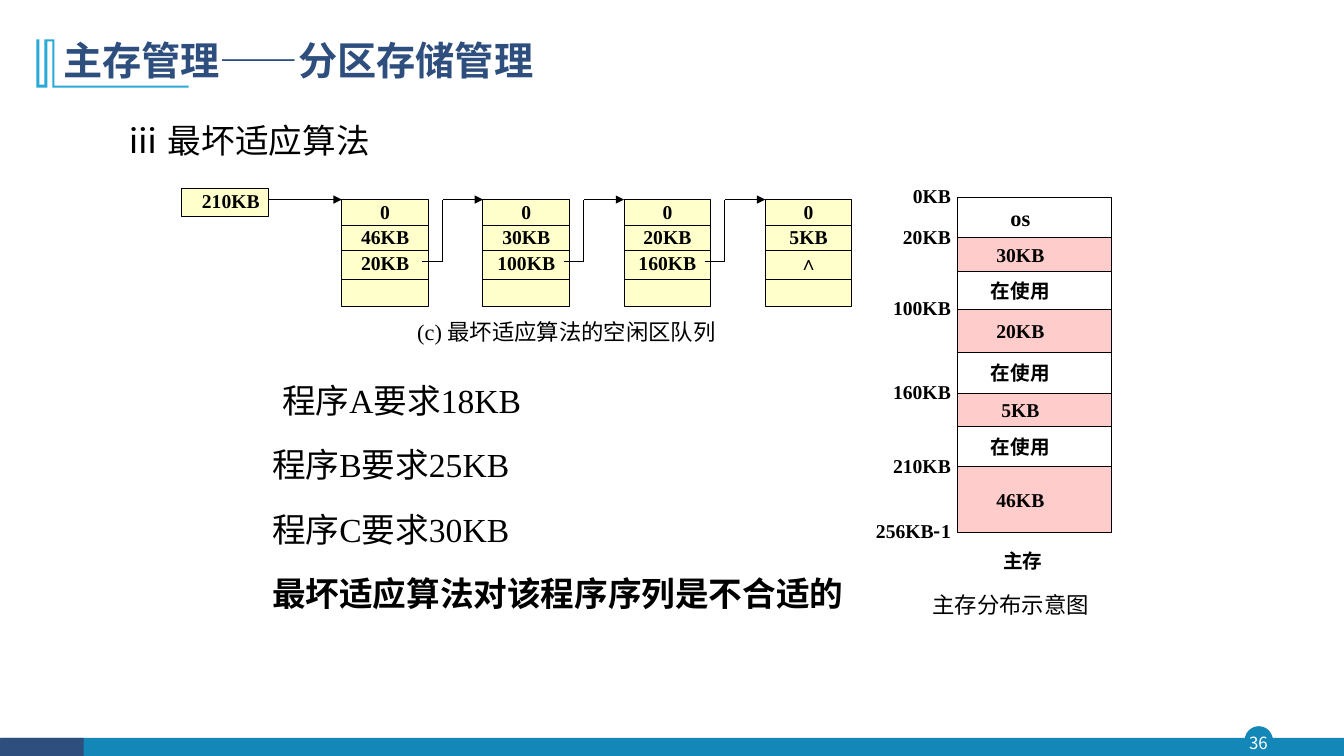
from lxml import etree
from pptx import Presentation
from pptx.dml.color import RGBColor
from pptx.enum.shapes import MSO_CONNECTOR, MSO_SHAPE
from pptx.enum.text import MSO_ANCHOR, PP_ALIGN
from pptx.oxml.ns import qn
from pptx.util import Inches, Pt

RECTANGLE, ELLIPSE = MSO_SHAPE.RECTANGLE, MSO_SHAPE.OVAL
LEFT, CENTER, RIGHT = PP_ALIGN.LEFT, PP_ALIGN.CENTER, PP_ALIGN.RIGHT
TOP, MIDDLE = MSO_ANCHOR.TOP, MSO_ANCHOR.MIDDLE

THEME = {
    "serif": "Times New Roman", "sans": "Noto Sans CJK SC", "symbol": "Arial",
    "title": 28, "body": 24, "caption": 16, "label": 14, "page": 12,
    "black": "000000", "white": "FFFFFF", "navy": "2E4E7E",
    "teal": "1387B7", "cyan": "28A9D6", "free": "FFCCCC", "queue": "FFFFCC",
}

# Content: a paragraph is a string or a list of (text, font) runs
TITLE = "主存管理——分区存储管理"
HEADING = [("ⅲ ", "sans"), ("最坏适应算法", "serif")]
REQUESTS = ["程序A要求18KB", "程序B要求25KB", "程序C要求30KB"]
CONCLUSION = "最坏适应算法对该程序序列是不合适的"
QUEUE_HEAD = "210KB"
QUEUE_NODES = [
    ["0", "46KB", "20KB"],
    ["0", "30KB", "100KB"],
    ["0", "20KB", "160KB"],
    ["0", "5KB", [("∧", "symbol")]],
]
QUEUE_CAPTION = "(c) 最坏适应算法的空闲区队列"
# Regions of memory: text, top edge, fill, type size
REGIONS = [
    ("os", 1.96, "white", "caption"),
    ("30KB", 2.36, "free", "label"),
    ("在使用", 2.69, "white", "label"),
    ("20KB", 3.07, "free", "label"),
    ("在使用", 3.5, "white", "label"),
    ("5KB", 3.9, "free", "label"),
    ("在使用", 4.23, "white", "label"),
    ("46KB", 4.63, "free", "label"),
]
MEMORY_BOTTOM = 5.28
ADDRESSES = [
    ("0KB", 1.96), ("20KB", 2.36), ("100KB", 3.07), ("160KB", 3.9), ("210KB", 4.63),
    ([("256KB", "serif"), ("-", "sans"), ("1", "serif")], MEMORY_BOTTOM),
]
MEMORY_NAME = "主存"
MEMORY_CAPTION = "主存分布示意图"
PAGE_NUMBER = "36"
ORNAMENT = [
    (0.54, 0.39), (0.54, 0.85), (1.87, 0.85), (1.87, 0.87), (0.52, 0.87), (0.52, 0.41),
    (0.47, 0.41), (0.47, 0.87), (0.36, 0.87), (0.36, 0.39), (0.39, 0.39), (0.39, 0.84),
    (0.44, 0.84), (0.44, 0.39),
]

presentation = Presentation()
presentation.slide_width = Inches(13.33)
presentation.slide_height = Inches(7.5)
slide = presentation.slides.add_slide(presentation.slide_layouts[6])


def color(name):
    return RGBColor.from_string(THEME[name])


def write(shape, paragraphs, size="label", font="serif", ink="black", bold=False,
          align=LEFT, anchor=TOP, spacing=1.0, before=0, insets=(0.1, 0.05, 0.1, 0.05)):
    frame = shape.text_frame
    frame.word_wrap = True
    frame.vertical_anchor = anchor
    (frame.margin_left, frame.margin_top,
     frame.margin_right, frame.margin_bottom) = map(Inches, insets)
    for index, content in enumerate(paragraphs):
        paragraph = frame.add_paragraph() if index else frame.paragraphs[0]
        paragraph.alignment = align
        paragraph.line_spacing = spacing
        paragraph.space_before = Pt(before)
        runs = [(content, font)] if isinstance(content, str) else content
        for text, face in runs:
            run = paragraph.add_run()
            run.text = text
            run.font.name = THEME[face]
            run.font.size = Pt(THEME[size])
            run.font.bold = bold
            run.font.color.rgb = color(ink)
            if face == "sans":
                east_asian = etree.SubElement(run.font._element, qn("a:ea"))
                east_asian.set("typeface", THEME[face])
    return frame


def add_text(left, top, width, height, paragraphs, **style):
    box = slide.shapes.add_textbox(*map(Inches, (left, top, width, height)))
    return write(box, paragraphs, **style)


def paint(shape, fill, line=None):
    shape.shadow.inherit = False
    shape.fill.solid()
    shape.fill.fore_color.rgb = color(fill)
    if line:
        shape.line.color.rgb = color(line)
        shape.line.width = Pt(0.75)
    else:
        shape.line.fill.background()
    return shape


def add_box(left, top, width, height, fill, line=None, kind=RECTANGLE):
    bounds = map(Inches, (left, top, width, height))
    return paint(slide.shapes.add_shape(kind, *bounds), fill, line)


def add_line(start_x, start_y, end_x, end_y, arrow=False):
    points = map(Inches, (start_x, start_y, end_x, end_y))
    connector = slide.shapes.add_connector(MSO_CONNECTOR.STRAIGHT, *points)
    connector.line.color.rgb = color("black")
    connector.line.width = Pt(0.75)
    if arrow:
        line = connector.line._get_or_add_ln()
        etree.SubElement(line, qn("a:tailEnd")).set("type", "triangle")
    etree.SubElement(connector._element.spPr, qn("a:effectLst"))


# Footer and page number
add_box(12.35, 7.21, 0.27, 0.27, "teal", "teal", ELLIPSE)
add_box(0.01, 7.32, 13.32, 0.19, "teal")
add_box(0, 7.32, 0.83, 0.19, "navy")
add_text(12.32, 7.21, 0.32, 0.31, [PAGE_NUMBER], size="page", font="sans", ink="white",
         align=CENTER, anchor=MIDDLE, insets=(0, 0, 0, 0))

# Title and heading
outline = [(Inches(x), Inches(y)) for x, y in ORNAMENT]
builder = slide.shapes.build_freeform(*outline[0])
builder.add_line_segments(outline[1:], close=True)
paint(builder.convert_to_shape(), "cyan")
add_text(0.53, 0.34, 10.49, 0.56, [TITLE], size="title", font="sans", ink="navy",
         bold=True, anchor=MIDDLE, spacing=0.9)
add_text(1.16, 1.02, 4.31, 0.62, [HEADING], size="body", spacing=1.3)

# Program requests and conclusion
requests = add_text(2.6, 3.6, 6.15, 2.54, REQUESTS + [CONCLUSION], size="body",
                    spacing=1.3, before=8.5)
requests.paragraphs[0]._p.get_or_add_pPr().set("marL", str(Inches(0.1)))
requests.paragraphs[-1].runs[0].font.bold = True

# Queue of free areas
NODE_LEFT, NODE_TOP, NODE_WIDTH, NODE_HEIGHT, NODE_STEP = 3.39, 1.98, 0.86, 1.06, 1.4
ROW_LINES = (0.26, 0.51, 0.79)
LINK_Y = 2.59
head = add_box(1.8, 1.87, NODE_WIDTH, 0.28, "queue", "black")
write(head, [QUEUE_HEAD], bold=True, align=CENTER, spacing=0.8,
      insets=(0.12, 0.05, 0, 0.05))
add_line(1.8 + NODE_WIDTH, NODE_TOP, NODE_LEFT, NODE_TOP, arrow=True)
for index, rows in enumerate(QUEUE_NODES):
    left = NODE_LEFT + index * NODE_STEP
    node = add_box(left, NODE_TOP, NODE_WIDTH, NODE_HEIGHT, "queue", "black")
    write(node, rows, bold=True, align=CENTER, spacing=0.8, before=4.7)
    for offset in ROW_LINES:
        add_line(left, NODE_TOP + offset, left + NODE_WIDTH, NODE_TOP + offset)
    if index < len(QUEUE_NODES) - 1:
        bend = left + 1
        add_line(left + 0.8, LINK_Y, bend, LINK_Y)
        add_line(bend, LINK_Y, bend, NODE_TOP)
        add_line(bend, NODE_TOP, left + NODE_STEP, NODE_TOP, arrow=True)
add_text(4.04, 3.16, 3.24, 0.24, [QUEUE_CAPTION], size="caption", spacing=0.8)

# Memory map
bottoms = [region[1] for region in REGIONS[1:]] + [MEMORY_BOTTOM]
for (text, top, fill, size), bottom in zip(REGIONS, bottoms):
    region = add_box(9.5, top, 1.52, bottom - top, fill, "black")
    write(region, [text], size=size, bold=True, align=CENTER, anchor=MIDDLE,
          insets=(0, 0, 0.28, 0))
for text, boundary in ADDRESSES:
    add_text(8.48, boundary - 0.18, 1.05, 0.33, [text], bold=True, align=RIGHT)
add_text(9.85, 5.4, 0.64, 0.33, [MEMORY_NAME], bold=True)
add_text(9.15, 5.82, 1.8, 0.37, [MEMORY_CAPTION], size="caption")

presentation.save("out.pptx")
